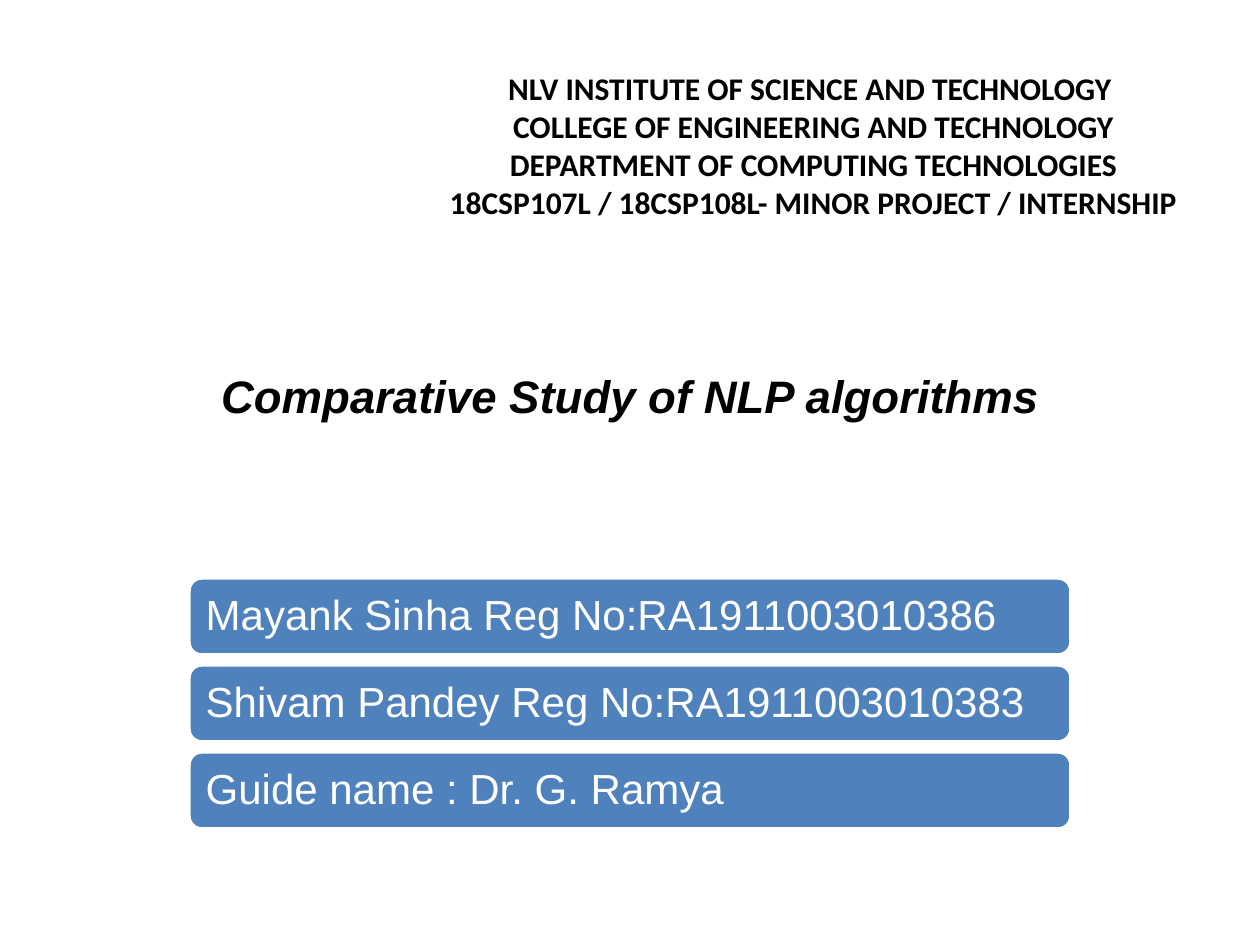
from dataclasses import dataclass

from pptx import Presentation
from pptx.dml.color import RGBColor
from pptx.enum.shapes import MSO_SHAPE
from pptx.enum.text import MSO_ANCHOR, PP_ALIGN
from pptx.util import Emu, Pt

PX = 914400 // 126


@dataclass
class Style:
    """Look of a block of text."""
    font: str
    size: int
    color: str = "000000"
    bold: bool = False
    italic: bool = False
    align: PP_ALIGN = PP_ALIGN.CENTER
    anchor: MSO_ANCHOR = MSO_ANCHOR.MIDDLE
    line_spacing: float = 1.0


HEADING = Style("Calibri", 18, bold=True, anchor=MSO_ANCHOR.TOP)
TITLE = Style("Arial", 26, bold=True, italic=True)
BAR = Style("Arial", 24, "FFFFFF", align=PP_ALIGN.LEFT, line_spacing=0.9)

HEADING_LINES = [
    "NLV INSTITUTE OF SCIENCE AND TECHNOLOGY ",
    "COLLEGE OF ENGINEERING AND TECHNOLOGY",
    "DEPARTMENT OF COMPUTING TECHNOLOGIES",
    "18CSP107L / 18CSP108L- MINOR PROJECT / INTERNSHIP",
]
PEOPLE = [
    "Mayank Sinha Reg No:RA1911003010386",
    "Shivam Pandey Reg No:RA1911003010383",
    "Guide name : Dr. G. Ramya",
]
BAR_TOP, BAR_PITCH = 578, 87


def px(*lengths: int) -> list[Emu]:
    """Turn pixels into EMU."""
    return [Emu(n * PX) for n in lengths]


def rgb(color: str) -> RGBColor:
    """Turn a hex string into a colour."""
    return RGBColor.from_string(color)


def write(shape, lines: list[str], style: Style) -> None:
    """Fill a shape with one paragraph per line."""
    tf = shape.text_frame
    tf.word_wrap = True
    tf.vertical_anchor = style.anchor
    tf.text = "\n".join(lines)
    for p in tf.paragraphs:
        p.alignment = style.align
        p.line_spacing = style.line_spacing
        for r in p.runs:
            r.font.name = style.font
            r.font.size = Pt(style.size)
            r.font.bold = style.bold
            r.font.italic = style.italic
            r.font.color.rgb = rgb(style.color)


def add_text(s, box: tuple[int, int, int, int], lines: list[str], style: Style) -> None:
    """Add a text box."""
    write(s.shapes.add_textbox(*px(*box)), lines, style)


def add_bar(s, top: int, text: str) -> None:
    """Add a rounded bar with one line of text."""
    bar = s.shapes.add_shape(MSO_SHAPE.ROUNDED_RECTANGLE, *px(189, top, 882, 77))
    bar.shadow.inherit = False
    bar.fill.solid()
    bar.fill.fore_color.rgb = rgb("4F81BD")
    bar.line.color.rgb = rgb("FFFFFF")
    bar.line.width = Pt(2)
    tf = bar.text_frame
    tf.margin_left, tf.margin_right = px(13, 13)
    write(bar, [text], BAR)


prs = Presentation()
prs.slide_width, prs.slide_height = px(1260, 945)
s = prs.slides.add_slide(prs.slide_layouts[6])
add_text(s, (95, 294, 1071, 203), ["Comparative Study of NLP algorithms"], TITLE)
add_text(s, (388, 63, 851, 165), HEADING_LINES, HEADING)
for i, person in enumerate(PEOPLE):
    add_bar(s, BAR_TOP + i * BAR_PITCH, person)
prs.save("out.pptx")
